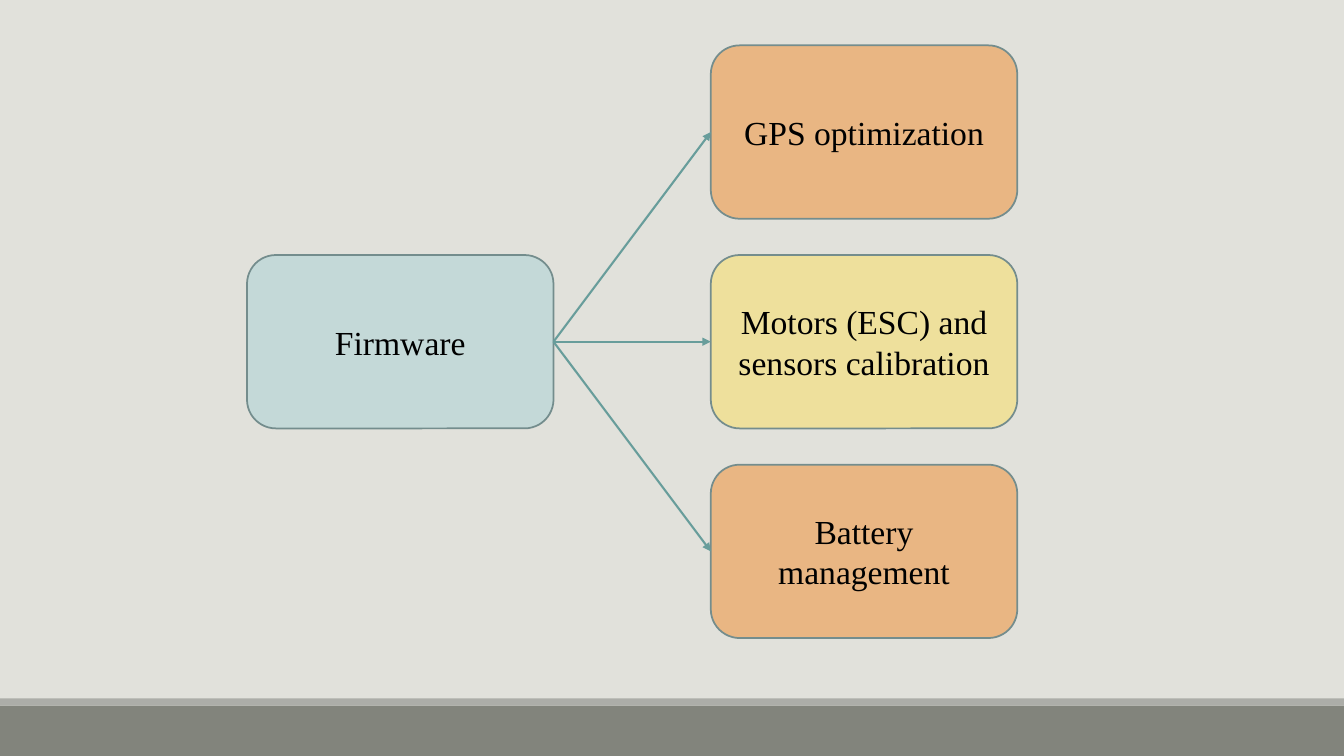
from lxml.etree import SubElement
from pptx import Presentation
from pptx.dml.color import RGBColor
from pptx.enum.shapes import MSO_CONNECTOR, MSO_SHAPE
from pptx.enum.text import MSO_ANCHOR, PP_ALIGN
from pptx.oxml.ns import qn
from pptx.util import Inches, Pt

SLIDE_W, SLIDE_H = 13.33, 7.5
NODE_W, NODE_H = 3.04, 1.72
ROW_STEP = 2.08
LEFT, TOP, BOTTOM, RIGHT = 1, 0, 2, 3  # connection sites

TASKS = [
    ("GPS optimization", "E9B683"),
    ("Motors (ESC) and sensors calibration", "EEE09C"),
    ("Battery management", "E9B683"),
]


def paint(color_format, hex_color):
    color_format.rgb = RGBColor.from_string(hex_color)


def add_block(slide, kind, box, fill):
    block = slide.shapes.add_shape(kind, *(Inches(length) for length in box))
    block.shadow.inherit = False
    block.fill.solid()
    paint(block.fill.fore_color, fill)
    block.line.fill.background()
    return block


def add_node(slide, left, top, label, fill):
    node = add_block(slide, MSO_SHAPE.ROUNDED_RECTANGLE,
                     (left, top, NODE_W, NODE_H), fill)
    paint(node.line.color, "748D8D")
    node.line.width = Pt(1.25)
    frame = node.text_frame
    frame.word_wrap = True
    frame.vertical_anchor = MSO_ANCHOR.MIDDLE
    paragraph = frame.paragraphs[0]
    paragraph.alignment = PP_ALIGN.CENTER
    run = paragraph.add_run()
    run.text = label
    run.font.name = "Times New Roman"
    run.font.size = Pt(24)
    paint(run.font.color, "000000")
    return node


def add_arrow(slide, source, target):
    arrow = slide.shapes.add_connector(MSO_CONNECTOR.STRAIGHT, 0, 0, 0, 0)
    arrow.begin_connect(source, RIGHT)
    arrow.end_connect(target, LEFT)
    paint(arrow.line.color, "689D9B")
    arrow.line.width = Pt(1.5)
    SubElement(arrow.line._get_or_add_ln(), qn("a:tailEnd"), type="triangle")
    SubElement(arrow._element.spPr, qn("a:effectLst"))


def add_footer_bands(slide, top, height):
    strip = 0.07
    add_block(slide, MSO_SHAPE.RECTANGLE, (0, top + strip, SLIDE_W, height - strip), "82847C")
    add_block(slide, MSO_SHAPE.RECTANGLE, (0, top, SLIDE_W, strip), "ACADA8")


def add_firmware_tree(slide, left, top, width):
    firmware = add_node(slide, left, top + ROW_STEP, "Firmware", "C4D9D8")
    tasks = [add_node(slide, left + width - NODE_W, top + row * ROW_STEP, label, fill)
             for row, (label, fill) in enumerate(TASKS)]
    for task in tasks:
        add_arrow(slide, firmware, task)


def main():
    deck = Presentation()
    deck.slide_width, deck.slide_height = Inches(SLIDE_W), Inches(SLIDE_H)
    slide = deck.slides.add_slide(deck.slide_layouts[6])
    slide.background.fill.solid()
    paint(slide.background.fill.fore_color, "E1E1DB")

    # Footer, then the firmware and its three tasks
    add_footer_bands(slide, top=6.93, height=SLIDE_H - 6.93)
    add_firmware_tree(slide, left=2.45, top=0.45, width=7.64)
    deck.save("out.pptx")


if __name__ == "__main__":
    main()
